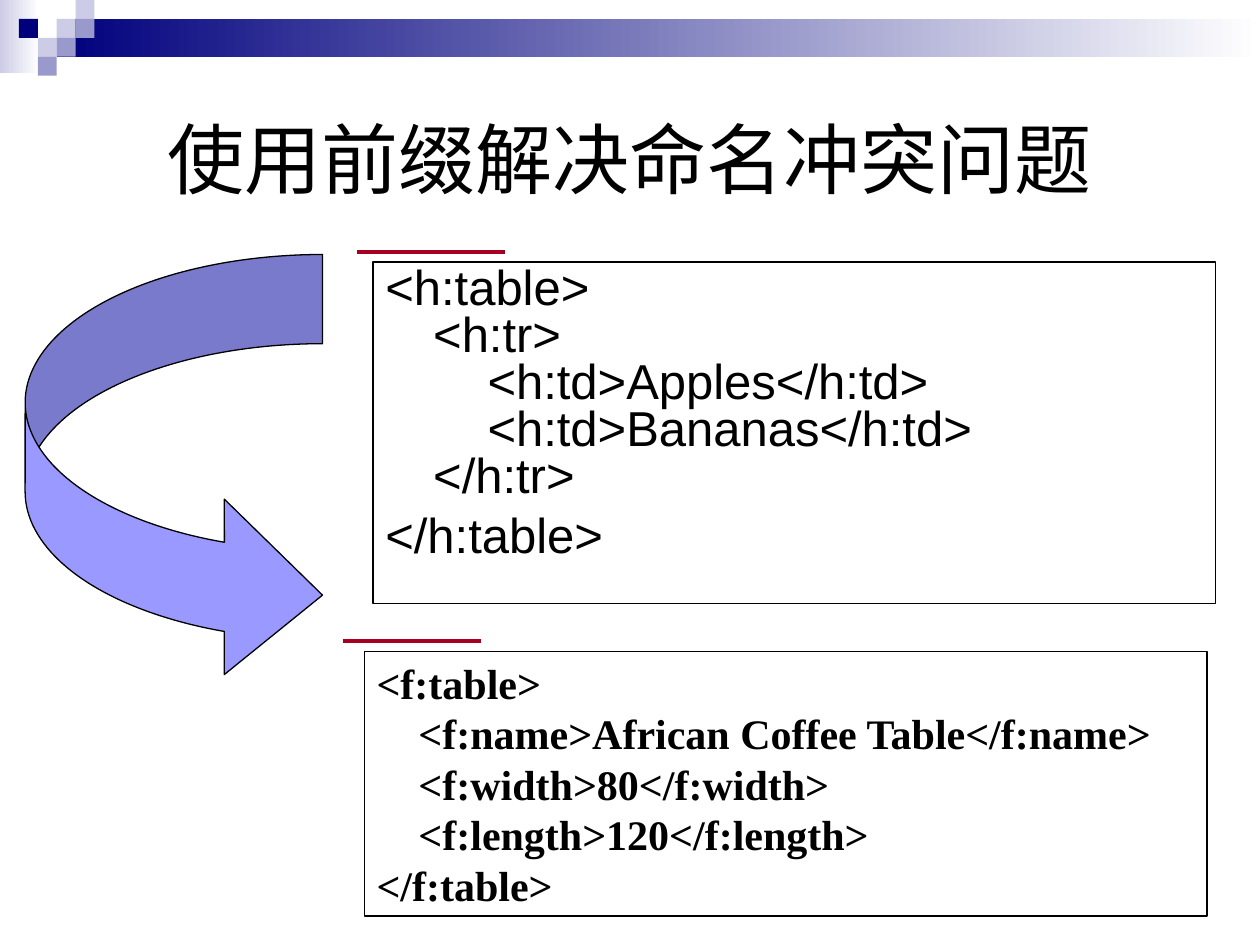
from dataclasses import dataclass

from pptx import Presentation
from pptx.dml.color import RGBColor as RGB
from pptx.enum.shapes import MSO_CONNECTOR as Connector, MSO_SHAPE as Shape
from pptx.enum.text import MSO_ANCHOR as Anchor, PP_ALIGN as Align
from pptx.oxml.xmlchemy import OxmlElement
from pptx.util import Inches, Pt


@dataclass(frozen=True)
class Theme:
    """Colours, fonts and type sizes of the slide."""
    white: RGB = RGB(0xFF, 0xFF, 0xFF)
    black: RGB = RGB(0, 0, 0)
    navy: RGB = RGB(0, 0, 0x7D)
    pale: RGB = RGB(0xCC, 0xCC, 0xE6)
    mid: RGB = RGB(0x99, 0x99, 0xCC)
    arrow: RGB = RGB(0x99, 0x99, 0xFF)
    accent: RGB = RGB(0xA5, 0, 0x21)
    sans: str = "Arial"
    serif: str = "Times New Roman"
    title_size: Pt = Pt(44)
    fruit_size: Pt = Pt(28)
    furniture_size: Pt = Pt(24)
    outline: Pt = Pt(0.75)
    rule: Pt = Pt(2.25)


THEME = Theme()
TILE = 0.15
TILES = [
    (3, 1, THEME.pale), (4, 0, THEME.pale), (4, 1, THEME.mid),
    (2, 2, THEME.pale), (1, 1, THEME.navy), (3, 2, THEME.mid),
    (2, 3, THEME.mid),
]
FRUIT_TABLE = [
    ["<h:table>", "<h:tr>", "    <h:td>Apples</h:td>",
     "    <h:td>Bananas</h:td>", "</h:tr>"],
    ["</h:table>"],
]
FURNITURE_TABLE = [
    ["<f:table>", "    <f:name>African Coffee Table</f:name>",
     "    <f:width>80</f:width>", "    <f:length>120</f:length>", "</f:table>"],
]


def inches(*lengths):
    """Convert several lengths to inches."""
    return [Inches(length) for length in lengths]


def add_block(slide, area, colour, fade=False, kind=Shape.RECTANGLE):
    """Add an unlined shape, solid or fading to white on the right."""
    block = slide.shapes.add_shape(kind, *inches(*area))
    block.shadow.inherit = False
    block.line.fill.background()
    if fade:
        block.fill.gradient()
        block.fill.gradient_angle = 0
        for stop, shade in zip(block.fill.gradient_stops, (colour, THEME.white)):
            stop.color.rgb = shade
    else:
        block.fill.solid()
        block.fill.fore_color.rgb = colour
    return block


def add_run(paragraph, words, font, size, bold=False):
    """Add one styled run."""
    run = paragraph.add_run()
    run.text = words
    run.font.name = font
    run.font.size = size
    run.font.bold = bold
    run.font.color.rgb = THEME.black


def add_header(slide):
    """Add the fading band and the mosaic of tiles."""
    add_block(slide, (0, 0, 0.31, 0.58), THEME.pale, fade=True)
    add_block(slide, (0.45, 0.15, 9.55, 0.3), THEME.navy, fade=True)
    for column, row, colour in TILES:
        add_block(slide, (column * TILE, row * TILE, TILE, TILE), colour)


def add_title(slide, words):
    """Add the centred title."""
    title = slide.shapes.add_textbox(*inches(0.5, 0.5, 9, 1.5)).text_frame
    title.word_wrap = True
    title.vertical_anchor = Anchor.MIDDLE
    heading = title.paragraphs[0]
    heading.alignment = Align.CENTER
    add_run(heading, words, THEME.sans, THEME.title_size)


def add_listing(slide, area, blocks, font, size, spacing, bold=False, hang=0):
    """Add an outlined code listing with one paragraph per block."""
    listing = slide.shapes.add_textbox(*inches(*area))
    listing.line.color.rgb = THEME.black
    listing.line.width = THEME.outline
    frame = listing.text_frame
    frame.word_wrap = True
    for index, lines in enumerate(blocks):
        paragraph = frame.add_paragraph() if index else frame.paragraphs[0]
        paragraph.line_spacing = spacing
        paragraph.space_before = Pt(7 if index else 0)
        properties = paragraph._p.get_or_add_pPr()
        properties.set("marL", str(Inches(hang)))
        properties.set("indent", str(Inches(-hang)))
        for number, line in enumerate(lines):
            if number:
                paragraph.add_line_break()
            add_run(paragraph, line, font, size, bold)


def add_rule(slide, left, right, top):
    """Add a short horizontal accent line."""
    rule = slide.shapes.add_connector(
        Connector.STRAIGHT, *inches(left, top, right, top))
    rule.line.color.rgb = THEME.accent
    rule.line.width = THEME.rule
    rule._element.spPr.append(OxmlElement("a:effectLst"))


def add_curved_arrow(slide):
    """Add the arrow leading from the first listing to the second."""
    arrow = add_block(slide, (0.2, 2.02, 2.36, 3.4), THEME.arrow,
                      kind=Shape.CURVED_RIGHT_ARROW)
    arrow.line.color.rgb = THEME.black
    arrow.line.width = THEME.outline
    for index, ratio in enumerate((0.3, 0.59, 0.33)):
        arrow.adjustments[index] = ratio


def main():
    """Build and save the slide."""
    deck = Presentation()
    deck.slide_width, deck.slide_height = inches(10, 7.5)
    slide = deck.slides.add_slide(deck.slide_layouts[6])
    add_header(slide)
    add_title(slide, "使用前缀解决命名冲突问题")
    add_listing(slide, (2.96, 2.08, 6.69, 2.71), FRUIT_TABLE, THEME.sans,
                THEME.fruit_size, Pt(26.9), hang=0.38)
    add_listing(slide, (2.89, 5.17, 6.69, 2.1), FURNITURE_TABLE, THEME.serif,
                THEME.furniture_size, Pt(28.8), bold=True)
    add_rule(slide, 2.83, 4.01, 2)
    add_rule(slide, 2.72, 3.82, 5.09)
    add_curved_arrow(slide)
    deck.save("out.pptx")


if __name__ == "__main__":
    main()
